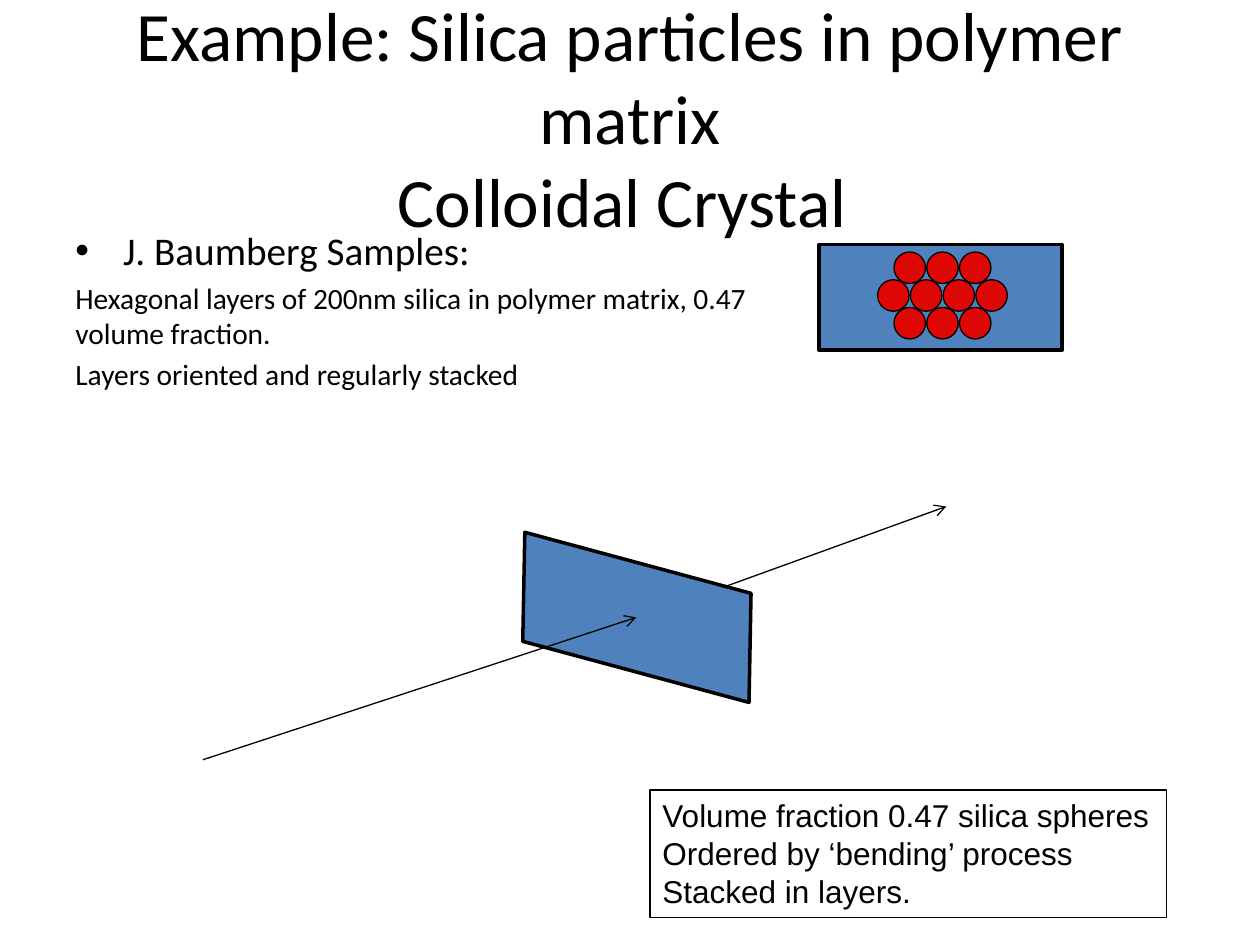
from lxml import etree
from pptx import Presentation
from pptx import util as u
from pptx.dml.color import RGBColor
from pptx.enum import shapes, text
from pptx.oxml.ns import qn

TITLE = "Example: Silica particles in polymer matrix\vColloidal Crystal "
BODY = [  # text, size, space before
    ("J. Baumberg Samples:", 22.4, 0),
    ("Hexagonal layers of 200nm silica in polymer matrix, 0.47 volume fraction.", 16.8, 3.4),
    ("Layers oriented and regularly stacked", 16.8, 3.4),
]
SUMMARY = [
    ("Volume fraction 0.47 silica spheres", 18, 0),
    ("Ordered by ‘bending’ process", 18, 0),
    ("Stacked in layers.", 18, 0),
]
BLACK, BLUE, RED = "000000", "4F81BD", "DD0806"
PARTICLE_ROWS = [3, 4, 3]
PARTICLE_SIZE, PITCH, ROW_STEP = 0.25, 0.26, 0.22
CRYSTAL_CENTRE, CRYSTAL_TOP = 7.48, 2.0
OUTGOING_BEAM = (5.77, 4.65, 7.51, 4.02)
INCOMING_BEAM = (1.61, 6.03, 5.05, 4.9)


def inches(values):
    return [u.Inches(value) for value in values]


def color(hex_string):
    return RGBColor.from_string(hex_string)


def outline(item, width):
    item.line.color.rgb = color(BLACK)
    item.line.width = u.Pt(width)


def add_filled(parent, kind, box, fill, width):
    item = parent.add_shape(kind, *inches(box))
    item.shadow.inherit = False
    item.fill.solid()
    item.fill.fore_color.rgb = color(fill)
    outline(item, width)
    return item


def add_beam(ends):
    """Draw a thin line with an open arrowhead at its end."""
    beam = slide.shapes.add_connector(shapes.MSO_CONNECTOR.STRAIGHT, *inches(ends))
    outline(beam, 0.75)
    etree.SubElement(beam.line._get_or_add_ln(), qn("a:tailEnd"), type="arrow")
    etree.SubElement(beam._element.spPr, qn("a:effectLst"))


def add_text(box, paragraphs, font, align=text.PP_ALIGN.LEFT, wrap=True):
    area = slide.shapes.add_textbox(*inches(box))
    frame = area.text_frame
    frame.word_wrap = wrap
    frame.text = "\n".join(content for content, _, _ in paragraphs)
    for paragraph, (_, size, before) in zip(frame.paragraphs, paragraphs):
        paragraph.alignment = align
        if before:
            paragraph.space_before = u.Pt(before)
        for run in paragraph.runs:
            run.font.size = u.Pt(size)
            run.font.name = font
            run.font.color.rgb = color(BLACK)
    return area


def add_bullet(paragraph, indent):
    properties = paragraph._p.get_or_add_pPr()
    properties.set("marL", str(u.Inches(indent)))
    properties.set("indent", str(-u.Inches(indent)))
    etree.SubElement(properties, qn("a:buFont"), typeface="Arial")
    etree.SubElement(properties, qn("a:buChar"), char="•")


deck = Presentation()
deck.slide_width, deck.slide_height = inches((10, 7.5))
slide = deck.slides.add_slide(deck.slide_layouts[6])

title = add_text((0.5, 0.3, 9, 1.25), [(TITLE, 39.6, 0)], "Calibri", text.PP_ALIGN.CENTER)
title.text_frame.vertical_anchor = text.MSO_ANCHOR.MIDDLE

body = add_text((0.5, 1.75, 6, 1.29), BODY, "Calibri")
add_bullet(body.text_frame.paragraphs[0], 0.38)

crystal = slide.shapes.add_group_shape().shapes
add_filled(crystal, shapes.MSO_SHAPE.RECTANGLE, (6.5, 1.94, 1.93, 0.84), BLUE, 2)
for row, count in enumerate(PARTICLE_ROWS):
    left = CRYSTAL_CENTRE - ((count - 1) * PITCH + PARTICLE_SIZE) / 2
    for column in range(count):
        box = (left + column * PITCH, CRYSTAL_TOP + row * ROW_STEP, PARTICLE_SIZE, PARTICLE_SIZE)
        add_filled(crystal, shapes.MSO_SHAPE.OVAL, box, RED, 0.75)

add_beam(OUTGOING_BEAM)
film = add_filled(slide.shapes, shapes.MSO_SHAPE.PARALLELOGRAM, (4.02, 4.48, 2.07, 0.84), BLUE, 2)
film.rotation = 15.1
film._element.spPr.find(qn("a:xfrm")).set("flipV", "1")
add_beam(INCOMING_BEAM)

summary = add_text((5.16, 6.27, 4.1, 1.01), SUMMARY, "Arial", wrap=False)
summary.text_frame.auto_size = text.MSO_AUTO_SIZE.SHAPE_TO_FIT_TEXT
outline(summary, 0.75)

deck.save("out.pptx")
